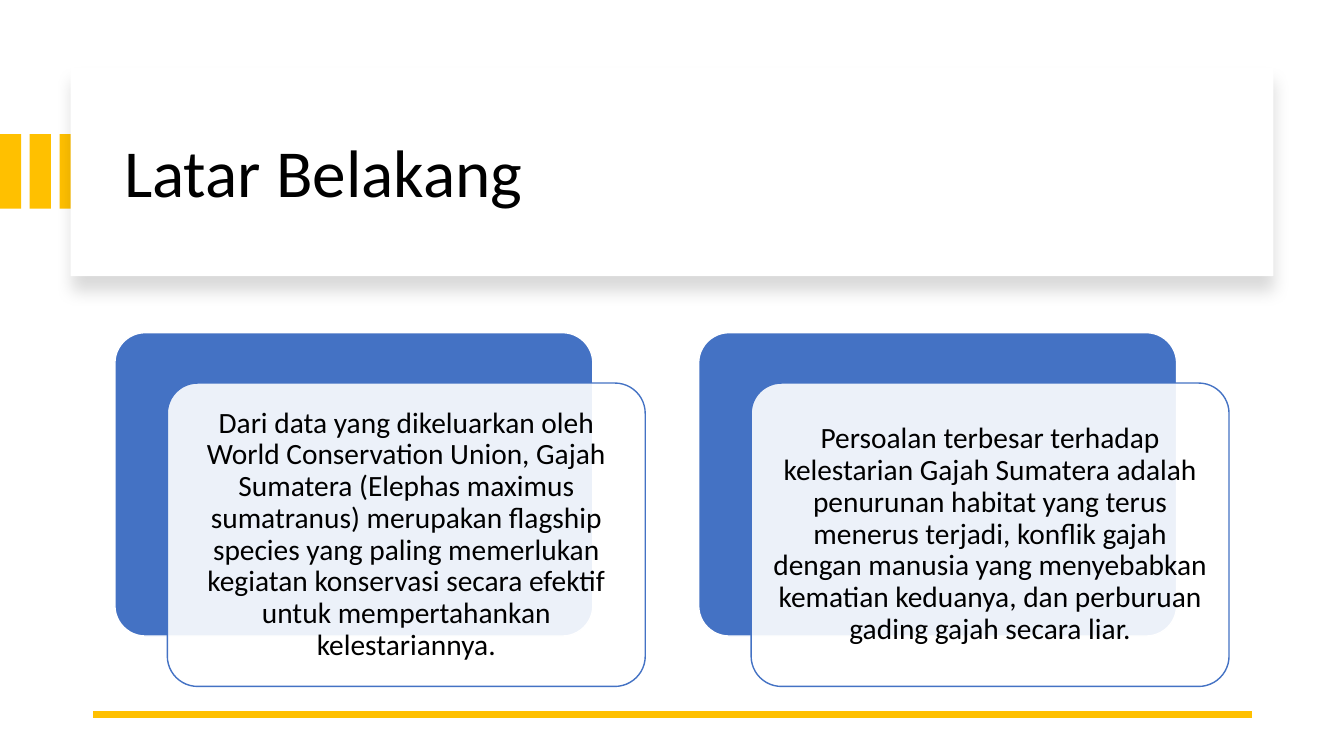
from lxml.etree import SubElement
from pptx import Presentation
from pptx.dml.color import RGBColor
from pptx.enum.shapes import MSO_CONNECTOR, MSO_SHAPE
from pptx.enum.text import MSO_ANCHOR, PP_ALIGN
from pptx.oxml import parse_xml
from pptx.oxml.ns import nsdecls, qn
from pptx.util import Inches, Pt

COLORS = {"gold": "FFC000", "blue": "4472C4", "white": "FFFFFF", "black": "000000"}
FONT = "Calibri"

CARD_TEXTS = [
    "Dari data yang dikeluarkan oleh World Conservation Union, Gajah Sumatera "
    "(Elephas maximus sumatranus) merupakan flagship species yang paling memerlukan "
    "kegiatan konservasi secara efektif untuk mempertahankan kelestariannya.",
    "Persoalan terbesar terhadap kelestarian Gajah Sumatera adalah penurunan habitat "
    "yang terus menerus terjadi, konflik gajah dengan manusia yang menyebabkan "
    "kematian keduanya, dan perburuan gading gajah secara liar.",
]

deck = Presentation()
deck.slide_width = Inches(13.33)
deck.slide_height = Inches(7.5)
page = deck.slides.add_slide(deck.slide_layouts[6])


def add_panel(kind, left, top, width, height, fill, line=None):
    panel = page.shapes.add_shape(
        kind, Inches(left), Inches(top), Inches(width), Inches(height))
    panel.shadow.inherit = False
    panel.fill.solid()
    panel.fill.fore_color.rgb = RGBColor.from_string(COLORS[fill])
    if line:
        panel.line.color.rgb = RGBColor.from_string(COLORS[line])
        panel.line.width = Pt(1)
    else:
        panel.line.fill.background()
    return panel


def add_text(text, left, top, width, height, size, align):
    box = page.shapes.add_textbox(
        Inches(left), Inches(top), Inches(width), Inches(height))
    frame = box.text_frame
    frame.word_wrap = True
    frame.vertical_anchor = MSO_ANCHOR.MIDDLE
    frame.margin_left = frame.margin_right = Inches(0.09)
    frame.margin_top = frame.margin_bottom = Inches(0.09)
    para = frame.paragraphs[0]
    para.text = text
    para.alignment = align
    para.line_spacing = 0.9
    para.font.name = FONT
    para.font.size = Pt(size)
    para.font.color.rgb = RGBColor.from_string(COLORS["black"])


# Gold bars and title panel
for index in range(3):
    add_panel(MSO_SHAPE.RECTANGLE, index * 0.295, 1.33, 0.21, 0.74, "gold")

title_panel = add_panel(MSO_SHAPE.RECTANGLE, 0.7, 0.67, 11.93, 2.07, "white")
effects = title_panel.element.spPr.find(qn("a:effectLst"))
effects.append(parse_xml(
    f'<a:outerShdw {nsdecls("a")} blurRad="{Pt(11)}" dist="{Pt(10)}" dir="5400000" '
    f'algn="t" rotWithShape="0"><a:srgbClr val="{COLORS["black"]}">'
    '<a:alpha val="15000"/></a:srgbClr></a:outerShdw>'))
add_text("Latar Belakang", 1.14, 0.89, 11.13, 1.7, 48, PP_ALIGN.LEFT)

# Bottom rule
rule = page.shapes.add_connector(
    MSO_CONNECTOR.STRAIGHT, Inches(12.42), Inches(7.09), Inches(0.92), Inches(7.09))
rule.line.color.rgb = RGBColor.from_string(COLORS["gold"])
rule.line.width = Pt(4.5)
SubElement(rule.element.spPr, qn("a:effectLst"))

# Cards: a blue back with a translucent white front
for index, text in enumerate(CARD_TEXTS):
    left = 1.14 + index * 5.79
    back = add_panel(MSO_SHAPE.ROUNDED_RECTANGLE, left, 3.3, 4.74, 3.01, "blue", "white")
    front = add_panel(
        MSO_SHAPE.ROUNDED_RECTANGLE, left + 0.52, 3.8, 4.74, 3.01, "white", "blue")
    back.adjustments[0] = front.adjustments[0] = 0.1
    front_color = front.element.spPr.find(qn("a:solidFill")).find(qn("a:srgbClr"))
    SubElement(front_color, qn("a:alpha"), val="90000")
    add_text(text, left + 0.61, 3.89, 4.56, 2.83, 21, PP_ALIGN.CENTER)

deck.save("out.pptx")
